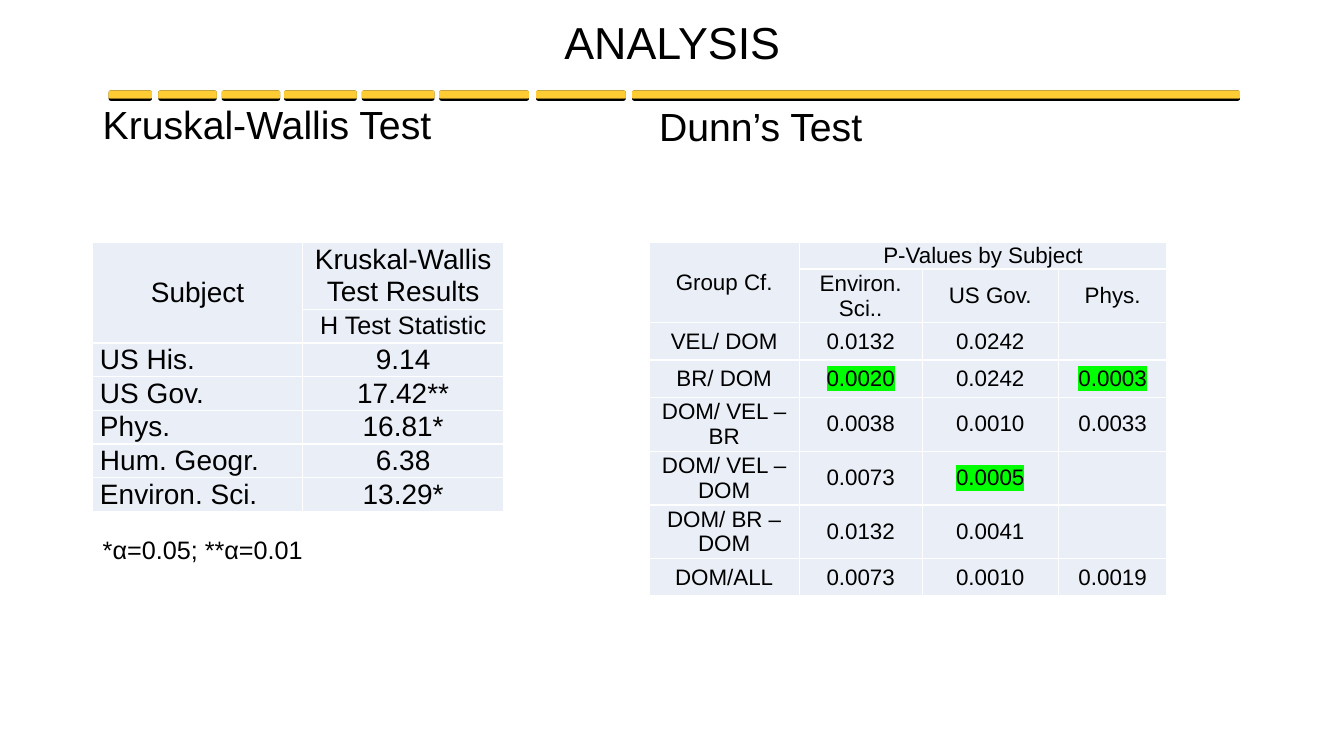
from lxml import etree
from pptx import Presentation
from pptx.dml.color import RGBColor
from pptx.enum.shapes import MSO_SHAPE
from pptx.enum.text import MSO_ANCHOR, PP_ALIGN
from pptx.oxml.ns import qn
from pptx.util import Cm, Pt

ROUNDED, SQUARE = MSO_SHAPE.ROUNDED_RECTANGLE, MSO_SHAPE.RECTANGLE
TOP, MIDDLE = MSO_ANCHOR.TOP, MSO_ANCHOR.MIDDLE
LEFT, CENTER, JUSTIFY = PP_ALIGN.LEFT, PP_ALIGN.CENTER, PP_ALIGN.JUSTIFY

BLACK, GOLD, WHITE, PALE, GREEN = "000000", "FFCC33", "FFFFFF", "EAEFF7", "00FF00"
FONT = "Arial"
HEADING = {"line_spacing": 0.9, "space_before": Pt(5.6), "alignment": LEFT}
CELL = {
    "vertical_anchor": MIDDLE,
    "margin_left": Cm(0.18),
    "margin_right": Cm(0.18),
    "margin_top": 0,
    "margin_bottom": 0,
}

DASHES = [
    (2.74, 1.09), (3.99, 1.47), (5.59, 1.47), (7.16, 1.83),
    (9.12, 1.83), (11.07, 2.26), (13.51, 2.26), (15.93, 15.32),
]
DASH_LAYERS = [
    (ROUNDED, 2.28, 0.26, BLACK),
    (ROUNDED, 2.28, 0.2, GOLD),
    (SQUARE, 2.33, 0.15, GOLD),
]

KRUSKAL_ROWS = [
    ("Subject", "Kruskal-Wallis Test Results"),
    ("", "H Test Statistic"),
    ("US His.", "9.14"),
    ("US Gov.", "17.42**"),
    ("Phys.", "16.81*"),
    ("Hum. Geogr.", "6.38"),
    ("Environ. Sci.", "13.29*"),
]
DUNN_ROWS = [
    ("Group Cf.", "P-Values by Subject", "", ""),
    ("", "Environ. Sci..", "US Gov.", "Phys."),
    ("VEL/ DOM", "0.0132", "0.0242", ""),
    ("BR/ DOM", "0.0020", "0.0242", "0.0003"),
    ("DOM/ VEL – BR", "0.0038", "0.0010", "0.0033"),
    ("DOM/ VEL – DOM", "0.0073", "0.0005", ""),
    ("DOM/ BR – DOM", "0.0132", "0.0041", ""),
    ("DOM/ALL", "0.0073", "0.0010", "0.0019"),
]
HIGHLIGHTED = {"0.0020", "0.0003", "0.0005"}


def rgb(value):
    """Return the colour for a hex string."""
    return RGBColor.from_string(value)


def apply_format(target, values):
    """Set every attribute named in values on target."""
    for name, value in values.items():
        setattr(target, name, value)


def write(frame, text, size, paragraph_format):
    """Write one black run into a text frame and return it."""
    paragraph = frame.paragraphs[0]
    apply_format(paragraph, paragraph_format)
    run = paragraph.add_run()
    run.text = text
    apply_format(run.font, {"size": Pt(size), "name": FONT, "bold": False})
    run.font.color.rgb = rgb(BLACK)
    return run


def add_text(slide, box, text, size, paragraph_format, anchor=TOP):
    """Add a wrapping line of text in a box given in centimetres."""
    frame = slide.shapes.add_textbox(*map(Cm, box)).text_frame
    apply_format(frame, {"word_wrap": True, "vertical_anchor": anchor})
    write(frame, text, size, paragraph_format)


def add_dash(slide, left, width):
    """Add one gold dash with its black lower edge."""
    for outline, top, height, colour in DASH_LAYERS:
        layer = slide.shapes.add_shape(outline, Cm(left), Cm(top), Cm(width), Cm(height))
        layer.shadow.inherit = False
        layer.fill.solid()
        layer.fill.fore_color.rgb = rgb(colour)
        layer.line.fill.background()
        if outline == ROUNDED:
            layer.adjustments[0] = 0.2


def highlight(run):
    """Mark a run with a green background."""
    properties = run.font.fill._xPr
    mark = etree.Element(qn("a:highlight"))
    etree.SubElement(mark, qn("a:srgbClr"), val=GREEN)
    properties.find(qn("a:latin")).addprevious(mark)


def style_cell(cell):
    """Give a cell its white borders, pale fill and insets."""
    apply_format(cell, CELL)
    properties = cell._tc.get_or_add_tcPr()
    for side in ("lnL", "lnR", "lnT", "lnB"):
        border = etree.SubElement(properties, qn(f"a:{side}"), w=str(Pt(1)))
        colour = etree.SubElement(border, qn("a:solidFill"))
        etree.SubElement(colour, qn("a:srgbClr"), val=WHITE)
    cell.fill.solid()
    cell.fill.fore_color.rgb = rgb(PALE)


def add_results(slide, left, rows, widths, heights, size, label_align, merges):
    """Add a results table with two header rows."""
    frame = slide.shapes.add_table(
        len(rows), len(widths), Cm(left), Cm(6.1), Cm(sum(widths)), Cm(sum(heights))
    )
    table = frame.table
    apply_format(table, {"first_row": False, "horz_banding": False})
    for column, width in zip(table.columns, widths):
        column.width = Cm(width)
    for row, height in zip(table.rows, heights):
        row.height = Cm(height)
    for row_index, row in enumerate(rows):
        for column_index, text in enumerate(row):
            cell = table.cell(row_index, column_index)
            style_cell(cell)
            if not text:
                continue
            is_label = row_index > 1 and column_index == 0
            text_size = 18 if text == "H Test Statistic" else size
            alignment = label_align if is_label else CENTER
            run = write(cell.text_frame, text, text_size, {"alignment": alignment})
            if text in HIGHLIGHTED:
                highlight(run)
    for first, last in merges:
        table.cell(*first).merge(table.cell(*last))


def main():
    """Build the analysis slide."""
    deck = Presentation()
    apply_format(deck, {"slide_width": Cm(33.87), "slide_height": Cm(19.05)})
    slide = deck.slides.add_slide(deck.slide_layouts[6])

    for left, width in reversed(DASHES):
        add_dash(slide, left, width)

    title_format = {"line_spacing": 0.9, "alignment": CENTER}
    add_text(slide, (2.34, 0.38, 29.21, 1.52), "ANALYSIS", 32, title_format, MIDDLE)
    add_text(slide, (2.34, 2.54, 13.03, 15.54), "Kruskal-Wallis Test", 28, HEADING)
    add_text(slide, (16.36, 2.59, 13.03, 15.54), "Dunn’s Test", 28, HEADING)

    add_results(
        slide, 2.34, KRUSKAL_ROWS, [5.28, 5.08], [1.6, 0.7] + [0.8] * 5,
        20, JUSTIFY, [((0, 0), (1, 0))],
    )
    add_text(slide, (2.34, 13.34, 10.36, 1.02), "*α=0.05; **α=0.01", 18, {"alignment": LEFT})
    add_results(
        slide, 16.36, DUNN_ROWS, [3.78, 3.1, 3.43, 2.74], [0.33, 0.71] + [0.94] * 6,
        16, CENTER, [((0, 0), (1, 0)), ((0, 1), (0, 3))],
    )
    deck.save("out.pptx")


if __name__ == "__main__":
    main()
